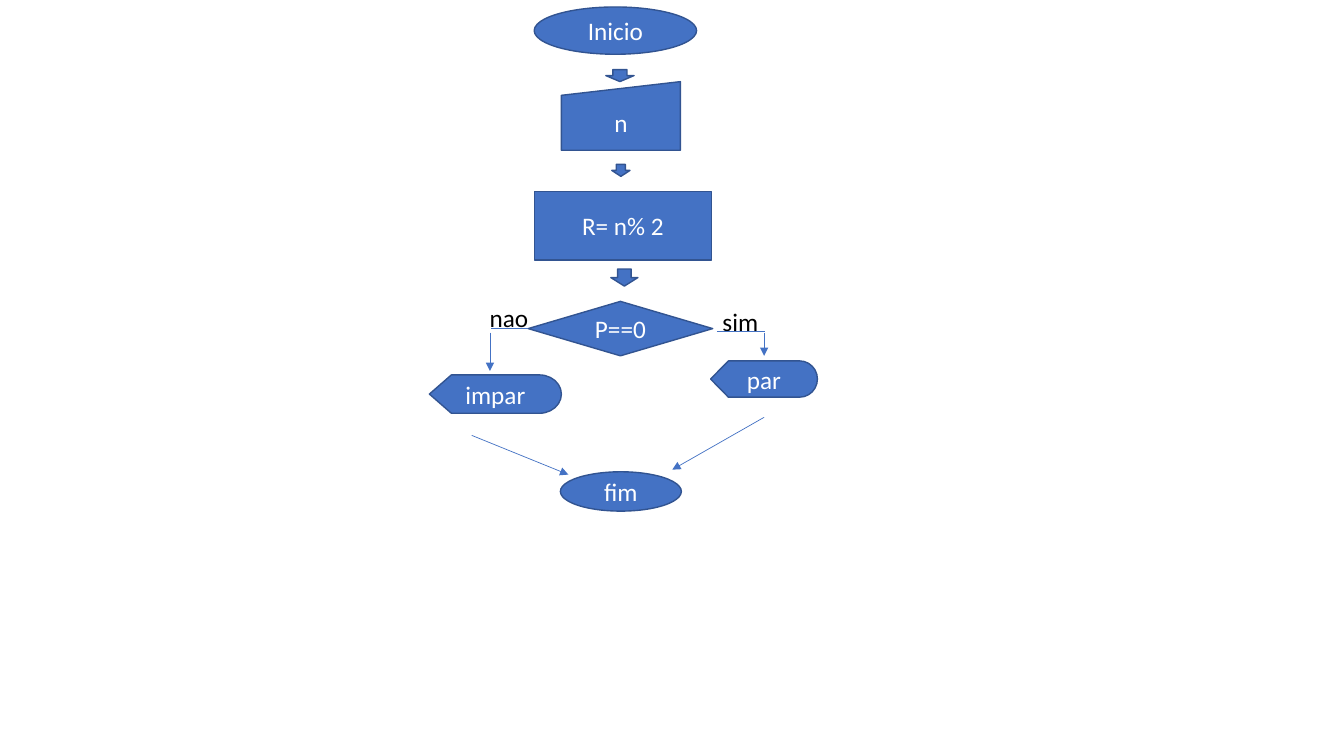
"""Build a flowchart slide that tests whether a number is even or odd."""
from lxml import etree
from pptx import Presentation
from pptx.dml.color import RGBColor
from pptx.enum import shapes, text
from pptx.oxml import ns
from pptx.util import Pt

COLORS = {"fill": "4472C4", "outline": "325491", "light": "FFFFFF", "dark": "000000"}
FONT, FONT_SIZE = "Calibri", 18
KIND = shapes.MSO_SHAPE

STEPS = [
    ("Inicio", KIND.OVAL, 381.6, 5, 116, 33.8),
    ("", KIND.DOWN_ARROW, 432.7, 49.7, 20.2, 8.6),
    ("n", KIND.FLOWCHART_MANUAL_INPUT, 401, 58.3, 85, 49),
    ("", KIND.DOWN_ARROW, 437, 117.4, 13, 8.6),
    ("R= n% 2", KIND.RECTANGLE, 381.6, 136.8, 126.7, 49),
    ("", KIND.DOWN_ARROW, 436.3, 192.2, 19.4, 12.2),
    ("P==0", KIND.FLOWCHART_DECISION, 377.3, 215.3, 131.8, 38.9),
    ("par", KIND.FLOWCHART_DISPLAY, 507.6, 257.8, 76.3, 25.9),
    ("impar", KIND.FLOWCHART_DISPLAY, 306.7, 267.8, 94.3, 27.4),
    ("fim", KIND.OVAL, 400.3, 337, 86.4, 28.1),
]
BRANCH_LABELS = [
    ("sim", 509, 215.3, 40.3, 28.8, False),
    ("nao", 342.7, 212.4, 63.4, 28.8, True),
]
LINES = [
    (512, 237, 546.5, 237, False),
    (545.8, 237.6, 545.8, 254.2, True),
    (377.3, 234.7, 350.6, 234.7, False),
    (350, 237.6, 350, 265, True),
    (337, 311, 406, 339, True),
    (545.8, 298.1, 480.2, 335.5, True),
]


def color(name):
    return RGBColor.from_string(COLORS[name])


def write(frame, words, color_name):
    frame.text = words
    font = frame.paragraphs[0].font
    font.name, font.size = FONT, Pt(FONT_SIZE)
    font.color.rgb = color(color_name)


def add_step(slide, words, kind, *box):
    shape = slide.shapes.add_shape(kind, *map(Pt, box))
    shape.shadow.inherit = False
    shape.fill.solid()
    shape.fill.fore_color.rgb = color("fill")
    shape.line.color.rgb = color("outline")
    shape.line.width = Pt(1)
    if words:
        write(shape.text_frame, words, "light")
        shape.text_frame.vertical_anchor = text.MSO_ANCHOR.MIDDLE
        shape.text_frame.paragraphs[0].alignment = text.PP_ALIGN.CENTER


def add_label(slide, words, left, top, width, height, wrap):
    frame = slide.shapes.add_textbox(*map(Pt, (left, top, width, height))).text_frame
    frame.word_wrap = wrap
    frame.auto_size = text.MSO_AUTO_SIZE.SHAPE_TO_FIT_TEXT
    write(frame, words, "dark")


def add_line(slide, *ends, arrow):
    connector = slide.shapes.add_connector(shapes.MSO_CONNECTOR.STRAIGHT, *map(Pt, ends))
    connector.line.color.rgb = color("fill")
    connector.line.width = Pt(0.5)
    if arrow:
        outline = connector.line._get_or_add_ln()
        etree.SubElement(outline, ns.qn("a:tailEnd"), type="triangle")
    etree.SubElement(connector._element.spPr, ns.qn("a:effectLst"))


presentation = Presentation()
presentation.slide_width, presentation.slide_height = Pt(960), Pt(540)
slide = presentation.slides.add_slide(presentation.slide_layouts[6])
for step in STEPS:
    add_step(slide, *step)
for label in BRANCH_LABELS:
    add_label(slide, *label)
for *ends, arrow in LINES:
    add_line(slide, *ends, arrow=arrow)
presentation.save("out.pptx")
